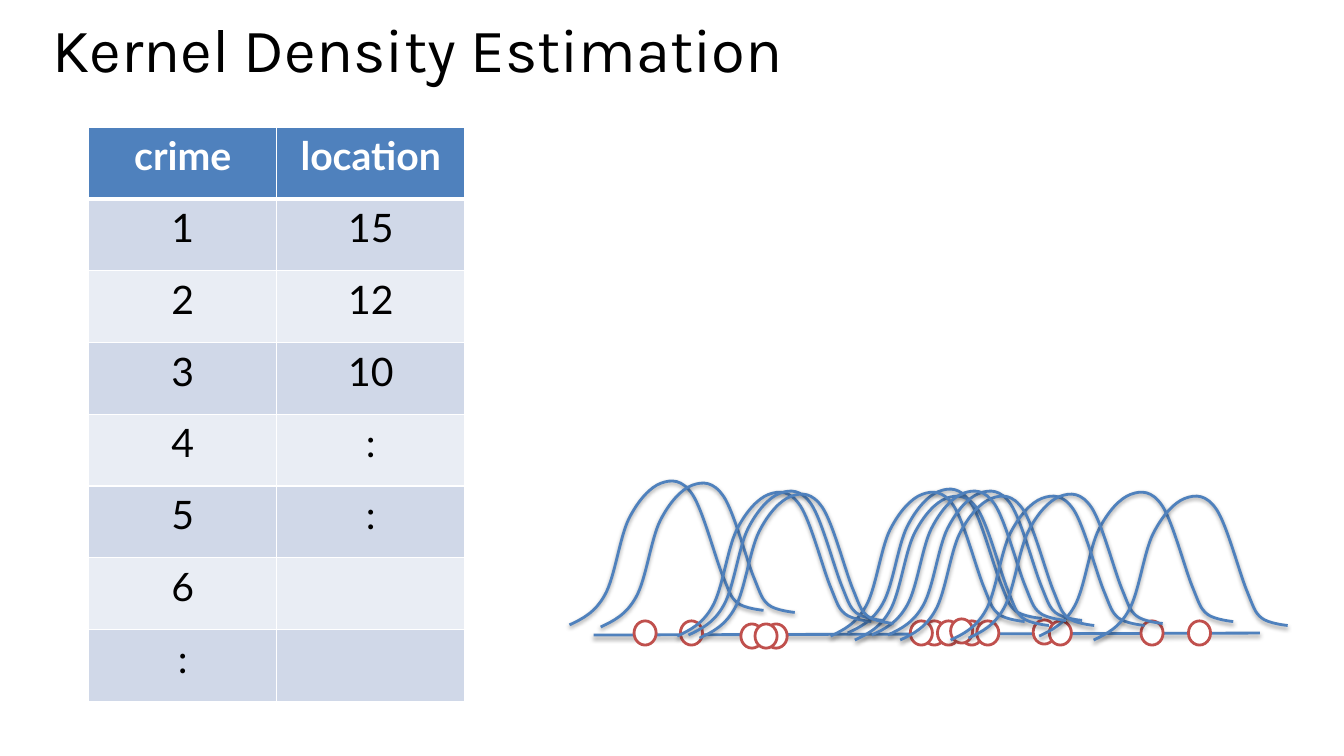
from lxml.etree import SubElement
from pptx import Presentation
from pptx.dml.color import RGBColor
from pptx.enum.shapes import MSO_CONNECTOR, MSO_SHAPE
from pptx.enum.text import MSO_ANCHOR, PP_ALIGN
from pptx.oxml import parse_xml
from pptx.oxml.ns import nsdecls, qn
from pptx.util import Pt

TITLE = "Kernel Density Estimation"
CRIMES = [
    ("crime", "location"),
    ("1", "15"),
    ("2", "12"),
    ("3", "10"),
    ("4", ":"),
    ("5", ":"),
    ("6", ""),
    (":", ""),
]
AXIS = (424.1, 453.6, 900, 452.2)
DOTS = [
    (529.2, 445.7), (546.5, 445.7), (539.3, 445.7), (452.9, 443.5), (486, 443.5),
    (659.5, 443.5), (669.6, 443.5), (686.2, 443.5), (738, 442.8), (848.9, 443.5),
    (815, 443.5), (697.7, 443.5), (679, 442.1), (749.5, 443.5), (650.2, 443.5),
]
KERNELS = [
    (406.8, 343.4), (429.1, 344.9), (605.5, 349.2), (742.3, 351.4), (610.6, 354.2),
    (593.3, 351.4), (483.8, 351.4), (491.8, 350.6), (634.3, 350.6), (679, 354.2),
    (643, 354.2), (622.8, 350.6), (499.7, 352.8), (691.9, 352.8), (781.2, 354.2),
]
BELL = [
    (0, 103),
    (9.1, 98.7), (18.2, 94.3), (25.2, 81.7),
    (32.4, 69.1), (35.8, 40.4), (42.5, 27),
    (49.2, 13.8), (57.7, 4.6), (65.2, 1.8),
    (72.9, -1.1), (80.5, -1.1), (87.9, 9.9),
    (95.2, 20.9), (104, 54.4), (109.2, 67.2),
    (114.4, 79.9), (114.9, 82.9), (119.8, 87.1),
    (124.7, 91.3), (138.6, 92.6), (138.6, 92.6),
]
DOT_WIDTH, DOT_HEIGHT = 15.8, 17.3
COLUMN_WIDTH, ROW_HEIGHT = 134.3, 51.3

BLACK = RGBColor(0x00, 0x00, 0x00)
WHITE = RGBColor(0xFF, 0xFF, 0xFF)
BLUE = RGBColor(0x4F, 0x81, 0xBD)
RED = RGBColor(0xC0, 0x50, 0x4D)
BAND_DARK = RGBColor(0xD0, 0xD8, 0xE8)
BAND_LIGHT = RGBColor(0xE9, 0xED, 0xF4)


def write_text(frame, text, font, size, color=BLACK, bold=False,
               align=PP_ALIGN.LEFT, spacing=1.0):
    para = frame.paragraphs[0]
    para.alignment = align
    para.line_spacing = spacing
    span = para.add_run()
    span.text = text
    span.font.name = font
    span.font.size = Pt(size)
    span.font.bold = bold
    span.font.color.rgb = color


def draw_line(item, color):
    item.line.color.rgb = color
    item.line.width = Pt(2)


def add_shadow(item):
    item._element.spPr.append(parse_xml(
        f'<a:effectLst {nsdecls("a")}>'
        f'<a:outerShdw blurRad="{Pt(3.15)}" dist="{Pt(1.57)}" dir="5400000" rotWithShape="0">'
        '<a:srgbClr val="000000"><a:alpha val="38000"/></a:srgbClr>'
        '</a:outerShdw></a:effectLst>'))


def set_borders(cell, top, bottom):
    properties = cell._tc.get_or_add_tcPr()
    sides = (("lnL", 1), ("lnR", 1), ("lnT", top), ("lnB", bottom))
    for order, (side, width) in enumerate(sides):
        border = SubElement(properties, qn(f"a:{side}"), w=str(Pt(width)))
        fill = SubElement(border, qn("a:solidFill"))
        SubElement(fill, qn("a:srgbClr"), val=str(WHITE))
        properties.insert(order, border)


def curve_segments(shape):
    outline = next(shape._element.iter(qn("a:path")))
    segments = outline.findall(qn("a:lnTo"))
    for first in range(0, len(segments), 3):
        curve = SubElement(outline, qn("a:cubicBezTo"))
        for segment in segments[first:first + 3]:
            curve.append(segment[0])
            outline.remove(segment)


def add_title(page):
    box = page.shapes.add_textbox(Pt(30.2), Pt(14.4), Pt(907.2), Pt(83.5))
    box.text_frame.word_wrap = True
    box.text_frame.vertical_anchor = MSO_ANCHOR.TOP
    write_text(box.text_frame, TITLE, font="Karla", size=44, spacing=0.8)


def add_crime_table(page):
    rows, columns = len(CRIMES), len(CRIMES[0])
    table = page.shapes.add_table(
        rows, columns, Pt(63.4), Pt(90.7),
        Pt(columns * COLUMN_WIDTH), Pt(rows * ROW_HEIGHT)).table
    table.horz_banding = False
    for column in table.columns:
        column.width = Pt(COLUMN_WIDTH)
    for row, values in enumerate(CRIMES):
        table.rows[row].height = Pt(ROW_HEIGHT)
        header = row == 0
        band = BLUE if header else BAND_DARK if row % 2 else BAND_LIGHT
        for column, value in enumerate(values):
            cell = table.cell(row, column)
            cell.fill.solid()
            cell.fill.fore_color.rgb = band
            set_borders(cell, top=3 if row == 1 else 1, bottom=3 if header else 1)
            if value:
                write_text(cell.text_frame, value, font="Lato", size=28, bold=header,
                           color=WHITE if header else BLACK, align=PP_ALIGN.CENTER)


def add_density_plot(page):
    axis = page.shapes.add_connector(MSO_CONNECTOR.STRAIGHT, *map(Pt, AXIS))
    draw_line(axis, BLUE)
    add_shadow(axis)
    for left, top in DOTS:
        dot = page.shapes.add_shape(
            MSO_SHAPE.OVAL, Pt(left), Pt(top), Pt(DOT_WIDTH), Pt(DOT_HEIGHT))
        dot.shadow.inherit = False
        dot.fill.solid()
        dot.fill.fore_color.rgb = WHITE
        draw_line(dot, RED)
    for left, top in KERNELS:
        start, *rest = [(Pt(left + x), Pt(top + y)) for x, y in BELL]
        builder = page.shapes.build_freeform(*start)
        builder.add_line_segments(rest, close=False)
        kernel = builder.convert_to_shape()
        curve_segments(kernel)
        kernel.fill.background()
        draw_line(kernel, BLUE)
        add_shadow(kernel)


def main():
    deck = Presentation()
    deck.slide_width, deck.slide_height = Pt(960), Pt(540)
    page = deck.slides.add_slide(deck.slide_layouts[6])
    add_title(page)
    add_crime_table(page)
    add_density_plot(page)
    deck.save("out.pptx")


if __name__ == "__main__":
    main()
